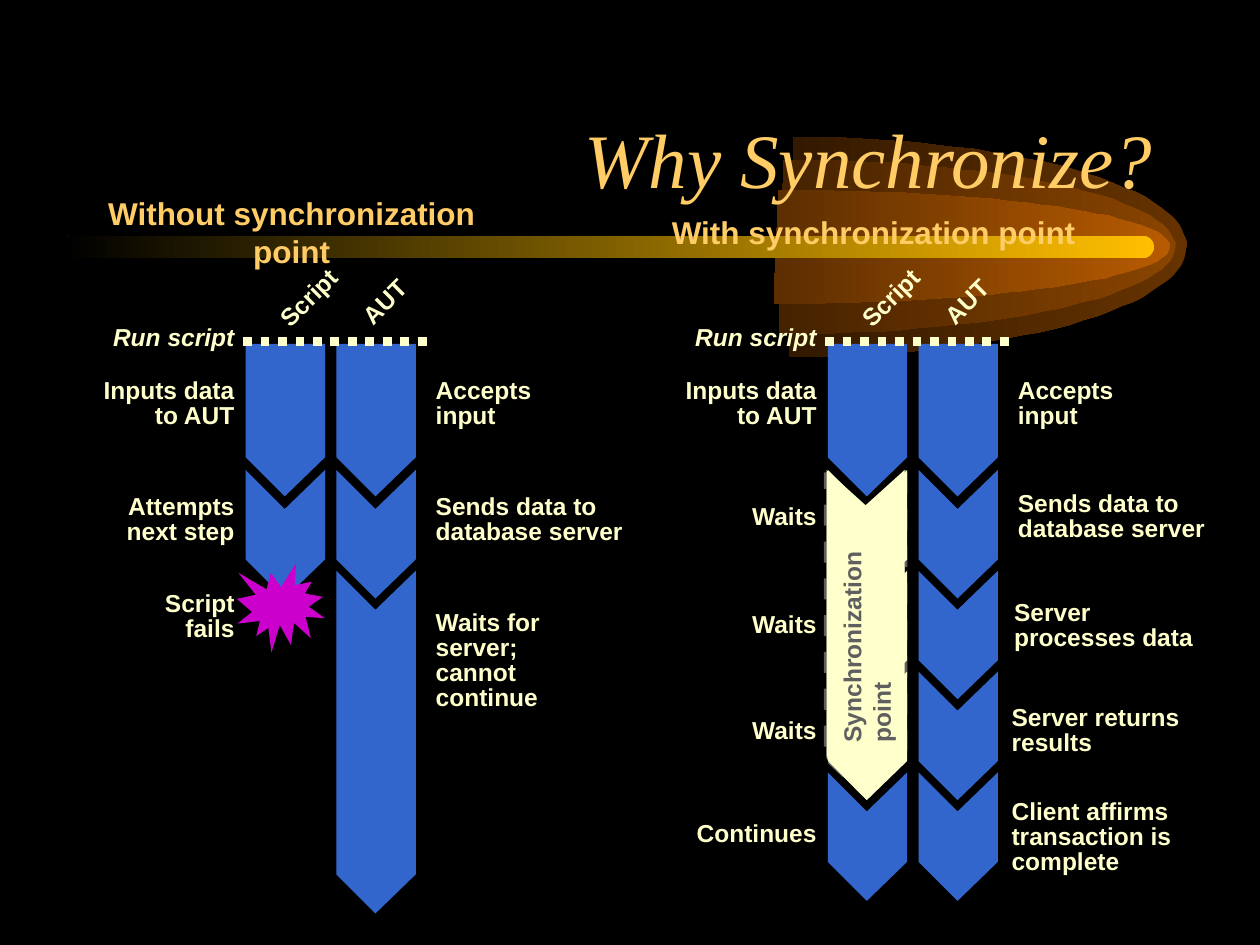
import math

import pptx
import pptx.dml.color
import pptx.enum.dml
import pptx.enum.shapes
import pptx.enum.text
import pptx.oxml
import pptx.oxml.ns
import pptx.util

PX = 9144
BLACK = pptx.dml.color.RGBColor(0x00, 0x00, 0x00)
BLUE = pptx.dml.color.RGBColor(0x33, 0x66, 0xCC)
CREAM = pptx.dml.color.RGBColor(0xFF, 0xFF, 0xCC)
GOLD = pptx.dml.color.RGBColor(0xFF, 0xCC, 0x66)
AMBER = pptx.dml.color.RGBColor(0xFF, 0xBF, 0x00)
GREY = pptx.dml.color.RGBColor(0x5F, 0x5F, 0x5F)
SILVER = pptx.dml.color.RGBColor(0xC3, 0xC3, 0xC3)
MAGENTA = pptx.dml.color.RGBColor(0xCC, 0x00, 0xCC)
GLOWS = [
    (628, 314, 87, pptx.dml.color.RGBColor(0x66, 0x33, 0x00), pptx.dml.color.RGBColor(0x33, 0x19, 0x00)),
    (620, 313, 69, pptx.dml.color.RGBColor(0x89, 0x44, 0x00), pptx.dml.color.RGBColor(0x45, 0x22, 0x00)),
    (616, 313, 45, pptx.dml.color.RGBColor(0xB7, 0x5B, 0x00), pptx.dml.color.RGBColor(0x5C, 0x2E, 0x00)),
]

LEFT = pptx.enum.text.PP_ALIGN.LEFT
CENTER = pptx.enum.text.PP_ALIGN.CENTER
RIGHT = pptx.enum.text.PP_ALIGN.RIGHT
MIDDLE = pptx.enum.text.MSO_ANCHOR.MIDDLE
BOTTOM = pptx.enum.text.MSO_ANCHOR.BOTTOM
BODY = {"name": "Arial", "size": pptx.util.Pt(14), "bold": True}
RUN = {**BODY, "italic": True}
HEADING = {**BODY, "size": pptx.util.Pt(18)}
TITLE = {"name": "Times New Roman", "size": pptx.util.Pt(44), "italic": True}
SPACED = {"space_before": pptx.util.Pt(8.8)}
TIGHT = {**SPACED, "line_spacing": 0.85}

SCRIPT_X, AUT_X, LANE_W, POINT = 2, 74, 63, 31
FIRST_TOP, FIRST_H, STEP_TOP, STEP_H, PITCH = 2, 121, 102, 102, 80


def apply(target, values):
    """Set every attribute named in values on the target."""
    for attribute, value in values.items():
        setattr(target, attribute, value)


def write(slide, box, words, font, color=CREAM, align=LEFT, paragraph=SPACED,
          anchor=MIDDLE, wrap=True, rotation=0):
    """Put one formatted paragraph in a text box."""
    holder = slide.shapes.add_textbox(*(value * PX for value in box))
    holder.rotation = rotation
    apply(holder.text_frame, {"word_wrap": wrap, "vertical_anchor": anchor})
    line = holder.text_frame.paragraphs[0]
    line.text = words
    apply(line, {**paragraph, "alignment": align})
    for run in line.runs:
        apply(run.font, font)
        run.font.color.rgb = color


def paint(shape, color):
    """Give a shape a plain fill without line or shadow."""
    shape.shadow.inherit = False
    shape.fill.solid()
    shape.fill.fore_color.rgb = color
    shape.line.fill.background()


def fade(shape, near, far):
    """Give a shape a gradient that runs from right to left."""
    shape.shadow.inherit = False
    shape.line.fill.background()
    shape.fill.gradient()
    shape.fill.gradient_angle = 180
    for stop, color in zip(shape.fill.gradient_stops, (near, far)):
        stop.color.rgb = color


def outline(slide, points):
    """Build a closed freeform through the points."""
    builder = slide.shapes.build_freeform(*points[0], scale=PX)
    builder.add_line_segments(points[1:], close=True)
    return builder.convert_to_shape()


def arrow(slide, box, color, notch=POINT, point=POINT):
    """Draw a downward arrow that fills the box."""
    x, y, w, h = box
    middle, shoulder = x + w / 2, y + h - point
    points = [(x, y), (middle, y + notch), (x + w, y), (x + w, shoulder),
              (middle, y + h), (x, shoulder)]
    shape = outline(slide, points)
    paint(shape, color)
    return shape


def comet(slide, left, top, width, height):
    """Draw the glowing comet behind the title."""
    middle = top + height / 2
    for x, rx, ry, near, far in GLOWS:
        angles = [math.radians(degree) for degree in range(-90, 91, 3)]
        points = [(round(x + rx * math.cos(a) - 2 * math.sin(a), 2),
                   round(middle + ry * math.sin(a), 2)) for a in angles]
        fade(outline(slide, points), near, far)
    tail = slide.shapes.add_shape(
        pptx.enum.shapes.MSO_SHAPE.ROUNDED_RECTANGLE,
        left * PX, top * PX, width * PX, height * PX)
    tail.adjustments[0] = 0.5
    fade(tail, AMBER, BLACK)


def panel(slide, left, top, heading, script_steps, aut_steps, script_labels, aut_labels):
    """Draw a heading, the start line, two lanes of arrows and their labels."""
    words, dx, width = heading
    write(slide, (left + dx, top - 107, width, 40), words, HEADING, GOLD, CENTER,
          {}, wrap=False)
    for lane_x, steps in ((SCRIPT_X, script_steps), (AUT_X, aut_steps)):
        x = left + lane_x
        arrow(slide, (x, top + FIRST_TOP, LANE_W, FIRST_H), BLUE, notch=0)
        for index, (color, height) in enumerate(steps):
            y = top + STEP_TOP + index * PITCH
            arrow(slide, (x, y, LANE_W, height), color)
    for dy, width, height, words in [(125 - 100, 126, 50, "Inputs data to AUT")] + script_labels:
        write(slide, (left + 3 - width, top + dy, width, height), words, BODY,
              align=RIGHT, paragraph=TIGHT)
    for dx, dy, width, height, words in [(143, 25, 139, 50, "Accepts\ninput")] + aut_labels:
        write(slide, (left + dx, top + dy, width, height), words, BODY, paragraph=TIGHT)
    write(slide, (left - 117, top - 21, 120, 34), "Run script", RUN, align=RIGHT)
    for dx, dy, width, words in ((14, -52, 75, "Script"), (82, -49, 60, "AUT")):
        write(slide, (left + dx, top + dy, width, 34), words, BODY, wrap=False, rotation=315)
    start = slide.shapes.add_connector(
        pptx.enum.shapes.MSO_CONNECTOR.STRAIGHT,
        left * PX, top * PX, (left + 146) * PX, top * PX)
    start.line.color.rgb = CREAM
    apply(start.line, {"width": pptx.util.Pt(5),
                       "dash_style": pptx.enum.dml.MSO_LINE.ROUND_DOT})
    start._element.spPr.append(pptx.oxml.parse_xml(
        "<a:effectLst %s/>" % pptx.oxml.ns.nsdecls("a")))


def failure(slide, left, top, width, height):
    """Mark the place where the script fails."""
    burst = slide.shapes.add_shape(
        pptx.enum.shapes.MSO_SHAPE.EXPLOSION1,
        left * PX, top * PX, width * PX, height * PX)
    paint(burst, MAGENTA)


def sync_border(slide, left, top, width, height):
    """Draw the dashed arrow that edges the waiting time."""
    edge = arrow(slide, (left, top, width, height), SILVER, point=29)
    edge.line.color.rgb = GREY
    apply(edge.line, {"width": pptx.util.Pt(3), "dash_style": pptx.enum.dml.MSO_LINE.DASH})


def sync_point(slide, left, top, width, height):
    """Draw the waiting arrow with its upright caption."""
    arrow(slide, (left, top, width, height), CREAM, notch=28, point=28)
    write(slide, (left - 58, top + 108, 179, 57), "Synchronization point", BODY,
          GREY, rotation=270)


def main():
    """Build the slide and save it."""
    deck = pptx.Presentation()
    apply(deck, {"slide_width": 1000 * PX, "slide_height": 750 * PX})
    slide = deck.slides.add_slide(deck.slide_layouts[6])
    slide.background.fill.solid()
    slide.background.fill.fore_color.rgb = BLACK
    comet(slide, 50, 187, 866, 18)
    write(slide, (75, 42, 850, 125), "Why Synchronize?", TITLE, GOLD, RIGHT, {}, BOTTOM)
    step, wait = (BLUE, STEP_H), (CREAM, STEP_H)
    panel(slide, 193, 271, ("Without synchronization point", -151, 379),
          [step], [step, (BLUE, 272)],
          [(117, 168, 50, "Attempts\nnext step"), (194, 97, 50, "Script fails")],
          [(143, 117, 174, 50, "Sends data to database server"),
           (143, 209, 139, 90, "Waits for server; cannot continue")])
    failure(slide, 188, 447, 70, 71)
    sync_border(slide, 656, 375, 62, 256)
    panel(slide, 655, 271, ("With synchronization point", -132, 341),
          [wait] * 3 + [step], [step] * 4,
          [(dy, 75, 30, "Waits") for dy in (125, 211, 295)] + [(377, 129, 30, "Continues")],
          [(143, 115, 172, 50, "Sends data to database server"),
           (140, 201, 171, 50, "Server processes data"),
           (138, 285, 159, 50, "Server returns results"),
           (138, 359, 165, 70, "Client affirms transaction is complete")])
    sync_point(slide, 656, 373, 62, 255)
    deck.save("out.pptx")


if __name__ == "__main__":
    main()
